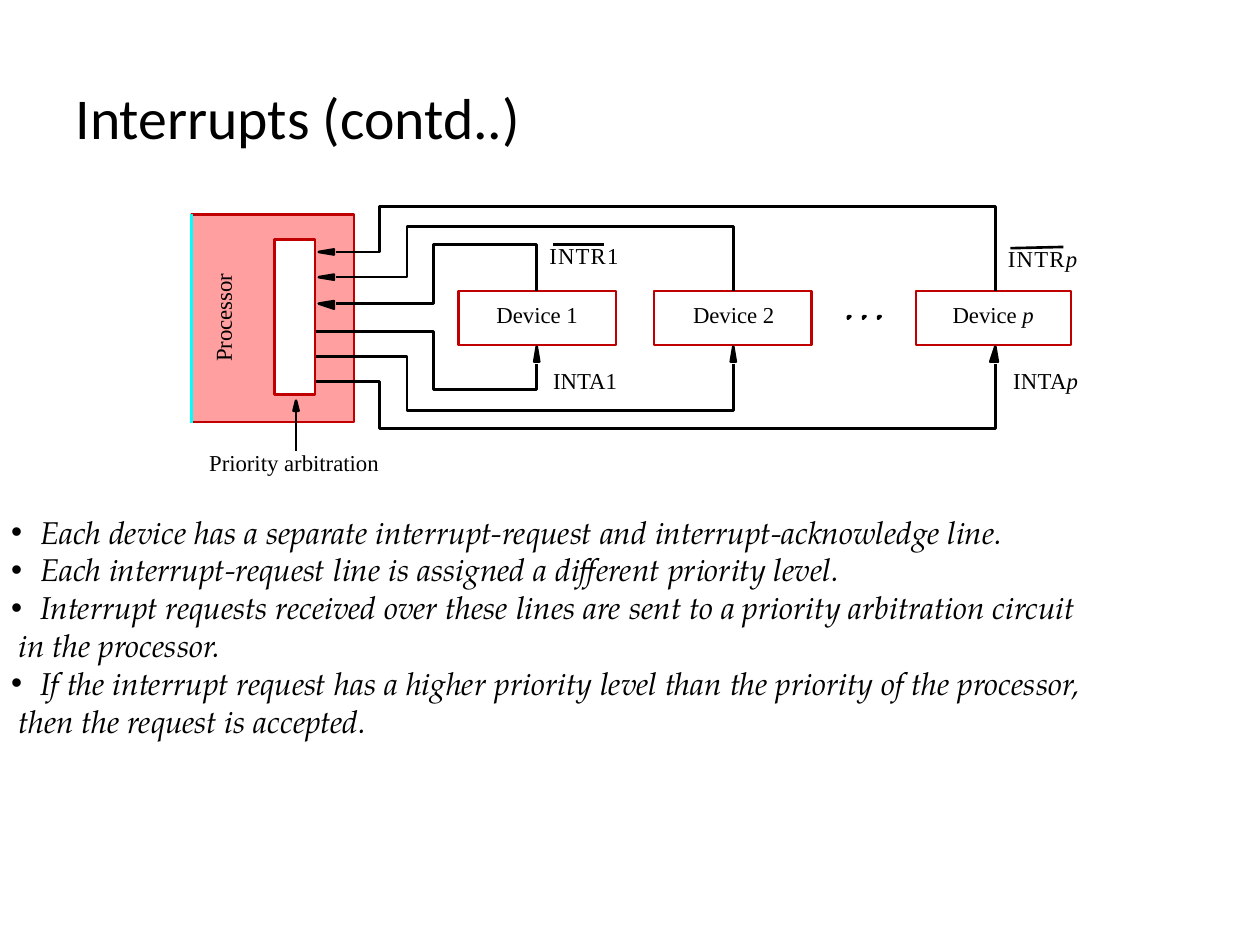
"""Build a slide on interrupt priority with one request and acknowledge line per device."""
from lxml import etree
from pptx import Presentation
from pptx.dml.color import RGBColor
from pptx.enum.shapes import MSO_CONNECTOR, MSO_SHAPE
from pptx.enum.text import MSO_ANCHOR, MSO_AUTO_SIZE, PP_ALIGN
from pptx.oxml.ns import qn
from pptx.util import Inches, Pt

STRAIGHT = MSO_CONNECTOR.STRAIGHT
RECTANGLE = MSO_SHAPE.RECTANGLE
MIDDLE = MSO_ANCHOR.MIDDLE
FIT = MSO_AUTO_SIZE.SHAPE_TO_FIT_TEXT
LEFT = PP_ALIGN.LEFT
BLACK = RGBColor(0, 0, 0)
WHITE = RGBColor(255, 255, 255)
RED = RGBColor(0xC0, 0, 0)
PINK = RGBColor(0xFF, 0x9F, 0x9F)
CYAN = RGBColor(0, 0xFF, 0xFF)
STROKE = Pt(1.5)

prs = Presentation()
prs.slide_width, prs.slide_height = Inches(10), Inches(7.5)
slide = prs.slides.add_slide(prs.slide_layouts[5])
shapes = slide.shapes


def draw_path(points, closed=False):
    """Draw a black outline, filled when closed."""
    corners = [(Inches(x), Inches(y)) for x, y in points]
    builder = shapes.build_freeform(*corners[0])
    builder.add_line_segments(corners[1:], close=closed)
    outline = builder.convert_to_shape()
    outline.shadow.inherit = False
    outline.line.color.rgb = BLACK
    outline.line.width = STROKE
    if closed:
        outline.fill.solid()
        outline.fill.fore_color.rgb = BLACK
    else:
        outline.fill.background()


def add_label(left, top, width, text, italic_tail="", tracking=0):
    """Add a one-line label, with an optional italic ending."""
    label = shapes.add_textbox(Inches(left), Inches(top), Inches(width), Inches(0.22))
    frame = label.text_frame
    frame.margin_left = frame.margin_right = frame.margin_top = frame.margin_bottom = 0
    frame.word_wrap = False
    frame.auto_size = FIT
    frame.text = text
    if italic_tail:
        frame.paragraphs[0].add_run().text = italic_tail
    for position, run in enumerate(frame.paragraphs[0].runs):
        run.font.name = "Times New Roman"
        run.font.size = Pt(13)
        run.font.color.rgb = BLACK
        run.font.italic = position == 1
        if tracking:
            run.font._element.set("spc", str(tracking))
    return label


title = shapes.title
title.left, title.top, title.width, title.height = (
    Inches(0.5), Inches(0.33), Inches(9.08), Inches(1.25))
title.text_frame.text = "Interrupts (contd..)"
title.text_frame.vertical_anchor = MIDDLE
heading = title.text_frame.paragraphs[0]
heading.alignment = LEFT
heading.line_spacing = 0.9
heading.runs[0].font.name = "Calibri"
heading.runs[0].font.size = Pt(33)
heading.runs[0].font.color.rgb = BLACK

boxes = [
    (1.52, 1.7, 1.29, 1.65, PINK),
    (2.18, 1.9, 0.32, 1.23, WHITE),
    (3.64, 2.31, 1.25, 0.43, None),
    (5.19, 2.31, 1.25, 0.43, None),
    (7.27, 2.31, 1.23, 0.43, None),
]
for left, top, width, height, color in boxes:
    box = shapes.add_shape(RECTANGLE, Inches(left), Inches(top), Inches(width), Inches(height))
    box.shadow.inherit = False
    box.line.color.rgb = RED
    box.line.width = STROKE
    if color is None:
        box.fill.background()
    else:
        box.fill.solid()
        box.fill.fore_color.rgb = color

straight_lines = [
    (1.52, 3.36, 1.52, 1.7, CYAN),
    (2.35, 3.26, 2.35, 3.58, BLACK),
    (4.79, 1.94, 4.39, 1.94, BLACK),
    (8.44, 1.96, 8.02, 1.97, BLACK),
]
for x1, y1, x2, y2, color in straight_lines:
    line = shapes.add_connector(STRAIGHT, Inches(x1), Inches(y1), Inches(x2), Inches(y2))
    line.line.color.rgb = color
    line.line.width = STROKE
    etree.SubElement(line._element.spPr, qn("a:effectLst"))

device_wires = [
    (4.26, 3.44, 1.94, 2.41, 2.63, 3.09, 0.04, 0.02),
    (5.82, 3.23, 1.8, 2.2, 2.83, 3.26, 0.02, 0.02),
    (7.9, 3.01, 1.64, 2.0, 3.03, 3.4, 0.02, 0.04),
]
for device_x, bend_x, top, request_y, grant_y, bottom, lower, outer in device_wires:
    draw_path([(2.65, request_y - 0.02), (2.53, request_y), (2.65, request_y + lower)], True)
    draw_path([(2.67, request_y), (bend_x, request_y), (bend_x, top),
               (device_x, top), (device_x, 2.31)])
    draw_path([(device_x + 0.02, 2.87), (device_x, 2.75), (device_x - outer, 2.87)], True)
    draw_path([(device_x, 2.89), (device_x, bottom), (bend_x, bottom),
               (bend_x, grant_y), (2.51, grant_y)])

draw_path([(2.37, 3.26), (2.35, 3.18), (2.33, 3.26)], True)
for dot in range(3):
    x = 6.73 + 0.12 * dot
    draw_path([(x, 2.51), (x, 2.53), (x + 0.02, 2.51)], True)

add_label(1.66, 3.56, 1.35, "Priority arbitration")
add_label(1.42, 2.41, 0.7, "Processor").rotation = 270
add_label(3.94, 2.39, 0.65, "Device 1")
add_label(5.5, 2.39, 0.65, "Device 2")
add_label(7.56, 2.39, 0.65, "Device ", "p")
add_label(4.36, 1.92, 0.56, "INTR1", tracking=70)
add_label(8, 1.94, 0.57, "INTR", "p", tracking=70)
add_label(4.39, 2.91, 0.52, "INTA1")
add_label(8.04, 2.91, 0.53, "INTA", "p", tracking=20)

points = [
    (True, "Each device has a separate interrupt-request and interrupt-acknowledge line."),
    (True, "Each interrupt-request line is assigned a different priority level."),
    (True, "Interrupt requests received over these lines are sent to a priority arbitration circuit"),
    (False, "in the processor."),
    (True, "If the interrupt request has a higher priority level than the priority of the processor,"),
    (False, "then the request is accepted."),
]
notes = shapes.add_textbox(Inches(-0.01), Inches(4.02), Inches(9.99), Inches(1.9)).text_frame
notes.word_wrap = True
notes.auto_size = FIT
notes.text = "\n".join(text for _, text in points)
for paragraph, (bulleted, _) in zip(notes.paragraphs, points):
    font = paragraph.runs[0].font
    font.name = "TeX Gyre Pagella"
    font.size = Pt(18)
    font.italic = True
    font.color.rgb = BLACK
    properties = paragraph._p.get_or_add_pPr()
    properties.set("marL", str(Inches(0.23 if bulleted else 0.06)))
    if bulleted:
        properties.set("indent", str(-Inches(0.23)))
        etree.SubElement(properties, qn("a:buFont")).set("typeface", "Arial")
        etree.SubElement(properties, qn("a:buChar")).set("char", "•")

prs.save("out.pptx")
